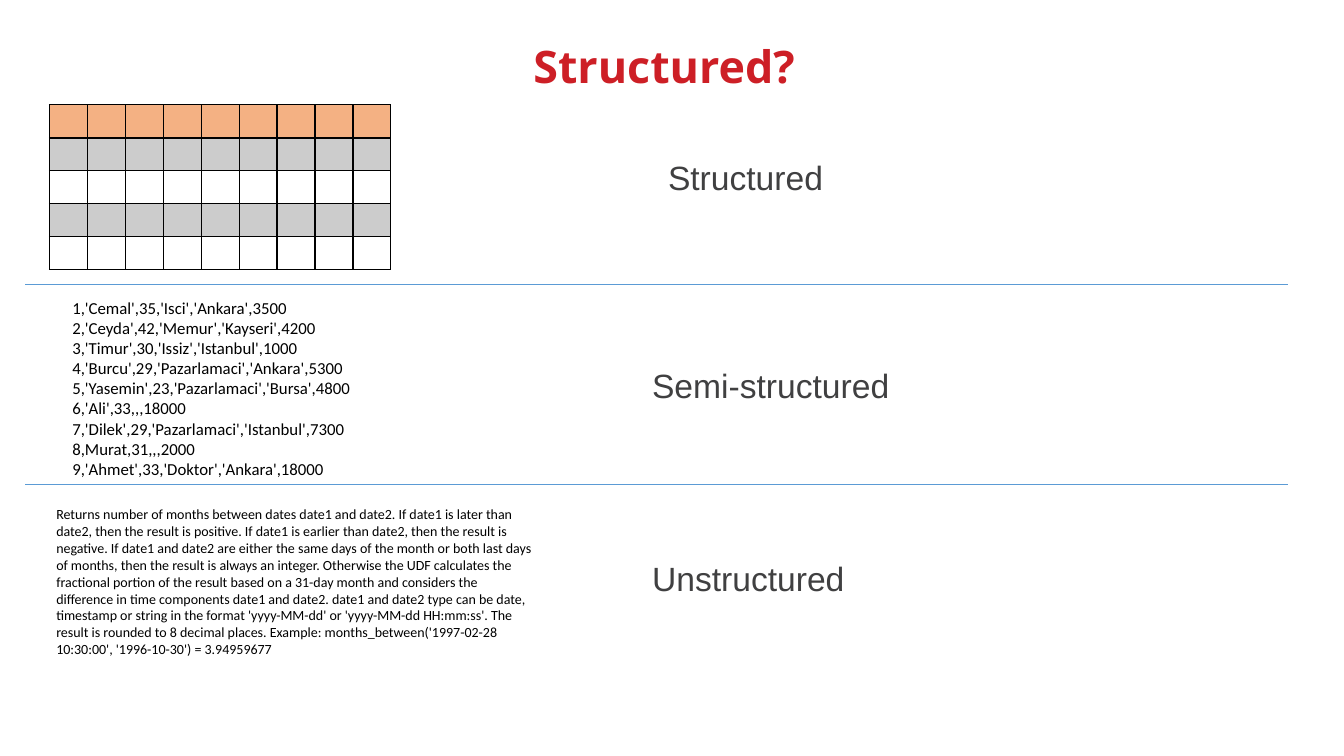
from dataclasses import dataclass
from lxml.etree import SubElement
from pptx import Presentation
from pptx.dml.color import RGBColor
from pptx.enum.shapes import MSO_CONNECTOR
from pptx.enum.text import MSO_ANCHOR, PP_ALIGN
from pptx.oxml.ns import qn
from pptx.util import Pt


@dataclass(frozen=True)
class Theme:
    title: dict
    label: dict
    records: dict
    prose: dict
    header: str = "F4B183"
    band: str = "CCCCCC"
    grid: str = "000000"
    divider: str = "5B9BD5"


THEME = Theme(
    title={"name": "Open Sans", "size": Pt(32), "bold": True, "color": "CD1F26"},
    label={"name": "Arial", "size": Pt(24), "color": "404041"},
    records={"name": "Calibri", "size": Pt(12), "color": "000000"},
    prose={"name": "Calibri", "size": Pt(10), "color": "000000"},
)

RECORDS = [
    "1,'Cemal',35,'Isci','Ankara',3500",
    "2,'Ceyda',42,'Memur','Kayseri',4200",
    "3,'Timur',30,'Issiz','Istanbul',1000",
    "4,'Burcu',29,'Pazarlamaci','Ankara',5300",
    "5,'Yasemin',23,'Pazarlamaci','Bursa',4800",
    "6,'Ali',33,,,18000",
    "7,'Dilek',29,'Pazarlamaci','Istanbul',7300",
    "8,Murat,31,,,2000",
    "9,'Ahmet',33,'Doktor','Ankara',18000",
]
PROSE = (
    "Returns number of months between dates date1 and date2. If date1 is later than "
    "date2, then the result is positive. If date1 is earlier than date2, then the "
    "result is negative. If date1 and date2 are either the same days of the month or "
    "both last days of months, then the result is always an integer. Otherwise the UDF "
    "calculates the fractional portion of the result based on a 31-day month and "
    "considers the difference in time components date1 and date2. date1 and date2 type "
    "can be date, timestamp or string in the format 'yyyy-MM-dd' or 'yyyy-MM-dd "
    "HH:mm:ss'. The result is rounded to 8 decimal places. Example: "
    "months_between('1997-02-28 10:30:00', '1996-10-30') = 3.94959677"
)


def add_text(page, box, lines, style, frame_format=None, para_format=None):
    frame = page.shapes.add_textbox(*map(Pt, box)).text_frame
    for name, value in {"word_wrap": True, **(frame_format or {})}.items():
        setattr(frame, name, value)
    for index, line in enumerate(lines):
        para = frame.paragraphs[0] if index == 0 else frame.add_paragraph()
        for name, value in (para_format or {}).items():
            setattr(para, name, value)
        span = para.add_run()
        span.text = line
        for name, value in style.items():
            if name == "color":
                span.font.color.rgb = RGBColor.from_string(value)
            else:
                setattr(span.font, name, value)


def add_title(page, box):
    add_text(page, box, ["Structured?"], THEME.title,
             {"vertical_anchor": MSO_ANCHOR.BOTTOM},
             {"alignment": PP_ALIGN.CENTER, "line_spacing": 0.9})


def add_label(page, box, text):
    # The label starts one inch inside the normal inset
    add_text(page, box, [text], THEME.label,
             {"margin_left": Pt(79.2)}, {"line_spacing": 1.5})


def add_border(cell, side, width):
    line = SubElement(cell._tc.get_or_add_tcPr(), qn(f"a:ln{side}"), w=str(Pt(width)))
    fill = SubElement(line, qn("a:solidFill"))
    SubElement(fill, qn("a:srgbClr"), val=THEME.grid)


def add_grid(page, box, row_count=5, column_count=9):
    left, top, width, height = box
    table = page.shapes.add_table(row_count, column_count, *map(Pt, box)).table
    for column in table.columns:
        column.width = Pt(width / column_count)
    for index, row in enumerate(table.rows):
        row.height = Pt(height / row_count)
        widths = {"L": 1, "R": 1, "T": 2 if index == 1 else 1, "B": 2 if index == 0 else 1}
        for cell in row.cells:
            for side in ("left", "right", "top", "bottom"):
                setattr(cell, f"margin_{side}", 0)
            for side, line_width in widths.items():
                add_border(cell, side, line_width)
            if index % 2 == 0 and index > 0:
                cell.fill.background()
            else:
                cell.fill.solid()
                color = THEME.band if index else THEME.header
                cell.fill.fore_color.rgb = RGBColor.from_string(color)


def add_divider(page, left, top, width):
    line = page.shapes.add_connector(
        MSO_CONNECTOR.STRAIGHT, Pt(left), Pt(top), Pt(left + width), Pt(top))
    line.line.color.rgb = RGBColor.from_string(THEME.divider)
    line.line.width = Pt(0.5)
    SubElement(line._element.spPr, qn("a:effectLst"))


def add_structured(page, box):
    left, top, width, height = box
    add_grid(page, (left + 17.3, top, 244, 117.5))
    add_label(page, (left + 380, top + 19.5, 283, 45), "Structured")


def add_semi_structured(page, box):
    left, top, width, height = box
    add_divider(page, left, top, width)
    add_text(page, (left + 26.6, top + 5.8, 234.7, 138.2), RECORDS, THEME.records)
    add_label(page, (left + 368.6, top + 39.6, 553, 45), "Semi-structured")


def add_unstructured(page, box):
    left, top, width, height = box
    add_divider(page, left, top, width)
    add_text(page, (left + 15.1, top + 11.5, 353.5, 116.6), [PROSE], THEME.prose)
    add_label(page, (left + 368.6, top + 34.6, 553, 45), "Unstructured")


deck = Presentation()
deck.slide_width, deck.slide_height = Pt(960), Pt(540)
page = deck.slides.add_slide(deck.slide_layouts[6])

# Title above three bands, one for each kind of data
add_title(page, (114.5, 16.6, 720, 53.3))
add_structured(page, (18, 74.9, 902, 128.1))
add_semi_structured(page, (18, 203, 902, 143.3))
add_unstructured(page, (18, 346.3, 902, 150))

deck.save("out.pptx")
